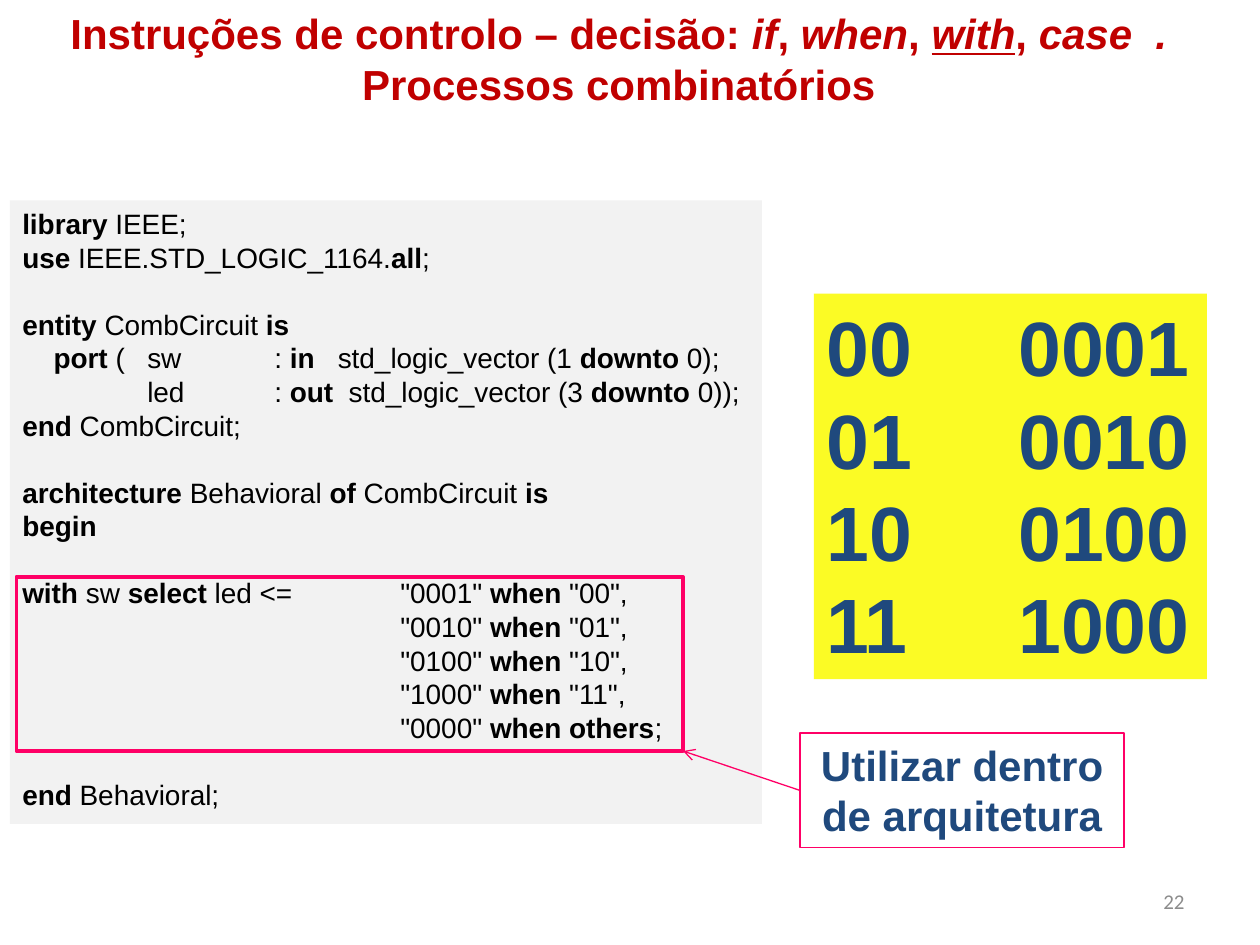
from lxml.etree import SubElement
from pptx import Presentation
from pptx.dml.color import RGBColor
from pptx.enum.shapes import MSO_CONNECTOR, MSO_SHAPE
from pptx.enum.text import MSO_ANCHOR, PP_ALIGN
from pptx.oxml.ns import qn
from pptx.util import Cm, Pt

COLORS = {
    "title": "C00000",
    "code": "000000",
    "code_fill": "F2F2F2",
    "values": "1F497D",
    "values_fill": "FBFB25",
    "accent": "FF0066",
    "number": "8C8C8C",
}

HEADING = [
    "Instruções de controlo – decisão: *if*, *when*, *with*, *case  .*",
    "Processos combinatórios",
]
CODE_BLOCKS = [
    ["*library* IEEE;", "*use* IEEE.STD_LOGIC_1164.*all*;"],
    [
        "*entity* CombCircuit *is*",
        "\t*port* (\tsw\t: *in*\tstd_logic_vector (1 *downto* 0);",
        "\t\tled\t: *out*\tstd_logic_vector (3 *downto* 0));",
        "*end* CombCircuit;",
    ],
    ["*architecture* Behavioral *of* CombCircuit *is*", "*begin*"],
    [
        '*with* sw *select* led <=\t"0001" *when* "00",',
        '\t"0010" *when* "01",',
        '\t"0100" *when* "10",',
        '\t"1000" *when* "11",',
        '\t"0000" *when others*;',
    ],
    ["*end* Behavioral;"],
]
PORT_TABS = {"in": [0.63, 2.52, 5.08, 6.36], "out": [0.63, 2.52, 5.08, 6.58]}
SELECT_TABS = [7.62]
VALUES = ["00\t0001", "01\t0010", "10\t0100", "11\t1000"]
VALUE_TABS = [3.87]


def rgb(name):
    return RGBColor.from_string(COLORS[name])


def set_tabs(paragraph, stops):
    tab_list = SubElement(paragraph._p.get_or_add_pPr(), qn("a:tabLst"))
    for stop in stops:
        SubElement(tab_list, qn("a:tab"), pos=str(Cm(stop)), algn="l")


def write(paragraph, text, size, color, font="Arial", bold=False, emphasis="bold",
          underlined=None, align=PP_ALIGN.LEFT, tabs=(), before=0):
    paragraph.alignment = align
    paragraph.space_before = Pt(before)
    if tabs:
        set_tabs(paragraph, tabs)
    for index, piece in enumerate(text.split("*")):
        if not piece:
            continue
        run = paragraph.add_run()
        run.text = piece
        run.font.name = font
        run.font.size = Pt(size)
        run.font.color.rgb = rgb(color)
        run.font.bold = bold
        if index % 2:
            setattr(run.font, emphasis, True)
            run.font.underline = piece == underlined


def paragraphs(frame, count):
    return [frame.paragraphs[0]] + [frame.add_paragraph() for _ in range(count - 1)]


def add_text_area(slide, box, anchor=MSO_ANCHOR.TOP):
    frame = slide.shapes.add_textbox(*map(Cm, box)).text_frame
    frame.word_wrap = True
    frame.vertical_anchor = anchor
    return frame


def add_panel(slide, box, fill=None, line=None, width=0.75):
    panel = slide.shapes.add_shape(MSO_SHAPE.RECTANGLE, *map(Cm, box))
    panel.shadow.inherit = False
    if fill:
        panel.fill.solid()
        panel.fill.fore_color.rgb = rgb(fill)
    else:
        panel.fill.background()
    if line:
        panel.line.color.rgb = rgb(line)
        panel.line.width = Pt(width)
    else:
        panel.line.fill.background()
    panel.text_frame.word_wrap = True
    panel.text_frame.vertical_anchor = MSO_ANCHOR.TOP
    return panel


def add_heading(slide, box):
    frame = add_text_area(slide, box)
    for paragraph, text in zip(paragraphs(frame, len(HEADING)), HEADING):
        write(paragraph, text, 24, "title", bold=True, emphasis="italic",
              underlined="with", align=PP_ALIGN.CENTER)


def add_code(slide, box):
    frame = add_panel(slide, box, "code_fill").text_frame
    lines = [(text, block > 0 and row == 0)
             for block, texts in enumerate(CODE_BLOCKS)
             for row, text in enumerate(texts)]
    for paragraph, (text, starts_block) in zip(paragraphs(frame, len(lines)), lines):
        direction = next((key for key in PORT_TABS if f"*{key}*" in text), None)
        tabs = PORT_TABS.get(direction, SELECT_TABS)
        write(paragraph, text, 16, "code", tabs=tabs, before=19.2 if starts_block else 0)


def add_values(slide, box):
    frame = add_panel(slide, box, "values_fill").text_frame
    for paragraph, text in zip(paragraphs(frame, len(VALUES)), VALUES):
        write(paragraph, text, 44, "values", bold=True, tabs=VALUE_TABS)


def add_callout(slide, frame_box, label_box):
    left, top, width, height = frame_box
    add_panel(slide, frame_box, line="accent", width=2)
    label = add_panel(slide, label_box, line="accent")
    write(label.text_frame.paragraphs[0], "Utilizar dentro de arquitetura", 24, "values",
          bold=True, align=PP_ALIGN.CENTER)
    corner = Cm(left + width), Cm(top + height)
    arrow = slide.shapes.add_connector(MSO_CONNECTOR.STRAIGHT, *corner, *corner)
    arrow.begin_connect(label, 1)
    arrow.line.color.rgb = rgb("accent")
    arrow.line.width = Pt(0.75)
    SubElement(arrow.line._get_or_add_ln(), qn("a:tailEnd"), type="arrow")
    SubElement(arrow._element.spPr, qn("a:effectLst"))


def add_page_number(slide, box):
    frame = add_text_area(slide, box, MSO_ANCHOR.MIDDLE)
    write(frame.paragraphs[0], "22", 12, "number", font="Calibri", align=PP_ALIGN.RIGHT)


def main():
    deck = Presentation()
    deck.slide_width, deck.slide_height = Cm(25.4), Cm(19.05)
    slide = deck.slides.add_slide(deck.slide_layouts[6])
    add_page_number(slide, (18.2, 17.66, 5.93, 1.01))
    add_heading(slide, (1.07, 0.03, 22.81, 2.31))
    add_code(slide, (0.2, 4.04, 15.16, 12.57))
    add_values(slide, (16.41, 5.92, 7.92, 7.77))
    add_callout(slide, (0.33, 11.63, 13.44, 3.51), (16.13, 14.78, 6.53, 2.31))
    deck.save("out.pptx")


if __name__ == "__main__":
    main()
